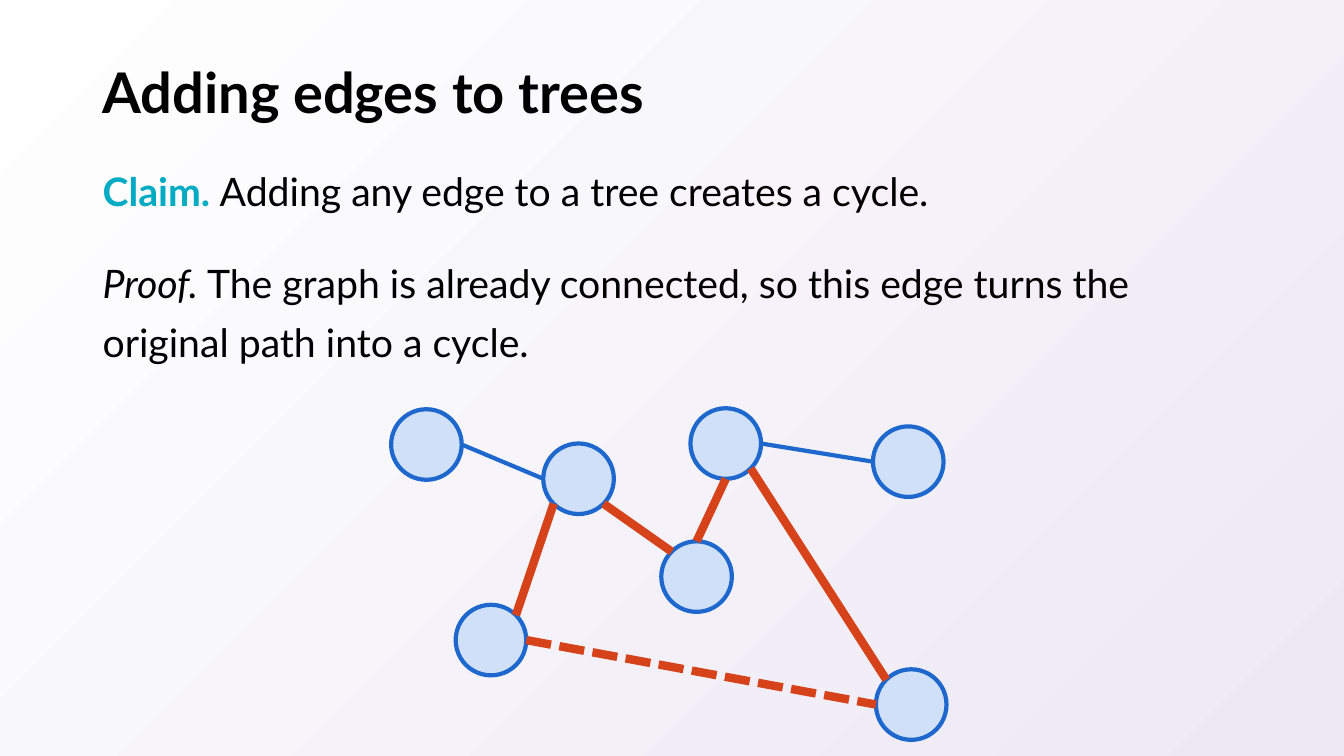
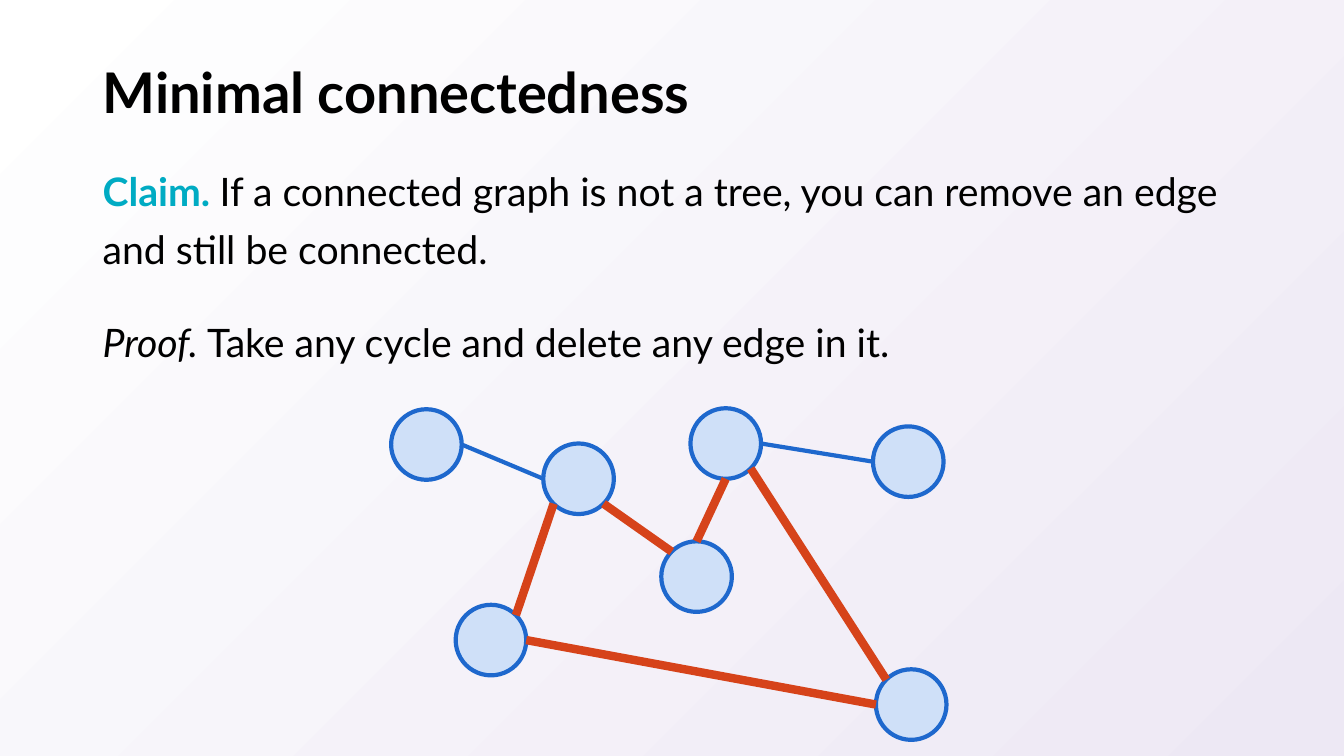
from math import cos, radians, sin

from lxml.etree import SubElement
from pptx import Presentation
from pptx.dml.color import RGBColor
from pptx.enum.dml import MSO_LINE
from pptx.enum.shapes import MSO_CONNECTOR, MSO_SHAPE
from pptx.enum.text import MSO_ANCHOR
from pptx.oxml.ns import qn
from pptx.util import Inches, Pt

BLACK = RGBColor(0x00, 0x00, 0x00)
TEAL = RGBColor(0x00, 0xAB, 0xC3)
PALE_BLUE = RGBColor(0xCF, 0xE0, 0xF8)
BLUE = RGBColor(0x1E, 0x68, 0xCD)
RED = RGBColor(0xD6, 0x43, 0x1A)
WHITE = RGBColor(0xFF, 0xFF, 0xFF)
LAVENDER = RGBColor(0xED, 0xE8, 0xF4)
FONT = "Lato"

deck = Presentation()
deck.slide_width = Inches(13.33)
deck.slide_height = Inches(7.5)
COLUMN = deck.slide_width / 100
ROW = deck.slide_height / 100
RADIUS = 5.25 * COLUMN / 2

EAST, SOUTHEAST, SOUTH, SOUTHWEST, WEST, NORTHWEST, NORTH, NORTHEAST = range(0, 360, 45)

NODES = {
    "middle": (51.83, 76.27),
    "hub": (43.05, 63.33),
    "left leaf": (31.73, 58.8),
    "low left": (36.53, 84.67),
    "low right": (67.8, 93.2),
    "peak": (54, 58.67),
    "right leaf": (67.58, 61.07),
}
TREE_EDGES = [
    ("hub", WEST, "left leaf", EAST),
    ("peak", EAST, "right leaf", WEST),
]
CLOSING_EDGE = ("low left", EAST, "low right", WEST)
CYCLE_EDGES = [
    ("middle", NORTHWEST, "hub", SOUTHEAST),
    ("hub", SOUTHWEST, "low left", NORTHEAST),
    ("middle", NORTH, "peak", SOUTH),
    ("peak", SOUTHEAST, "low right", NORTHWEST),
    CLOSING_EDGE,
]
LESSONS = [
    (
        "Adding edges to trees",
        "Adding any edge to a tree creates a cycle.",
        "The graph is already connected, so this edge turns the original path into a cycle.",
        MSO_LINE.SQUARE_DOT,
    ),
    (
        "Minimal connectedness",
        "If a connected graph is not a tree, you can remove an edge and still be connected.",
        "Take any cycle and delete any edge in it.",
        MSO_LINE.SOLID,
    ),
]


def add_text(slide, top, height, anchor, size, spacing, paragraphs):
    box = slide.shapes.add_textbox(
        int(6.9 * COLUMN), int(top * ROW), int(86.25 * COLUMN), int(height * ROW)
    )
    frame = box.text_frame
    frame.word_wrap = True
    frame.vertical_anchor = anchor
    for index, pieces in enumerate(paragraphs):
        paragraph = frame.add_paragraph() if index else frame.paragraphs[0]
        paragraph.line_spacing = spacing
        paragraph.space_after = Pt(24)
        for text, color, bold, italic in pieces:
            run = paragraph.add_run()
            run.text = text
            run.font.name = FONT
            run.font.size = Pt(size)
            run.font.color.rgb = color
            run.font.bold = bold
            run.font.italic = italic


def rim_point(node, angle):
    column, row = NODES[node]
    return (
        int(column * COLUMN + RADIUS * cos(radians(angle))),
        int(row * ROW + RADIUS * sin(radians(angle))),
    )


for title, claim, proof, closing_dash in LESSONS:
    slide = deck.slides.add_slide(deck.slide_layouts[6])
    backdrop = slide.background.fill
    backdrop.gradient()
    backdrop.gradient_angle = 315
    for stop, color in zip(backdrop.gradient_stops, (WHITE, LAVENDER)):
        stop.color.rgb = color

    add_text(slide, 5.33, 14.53, MSO_ANCHOR.MIDDLE, 40, 0.9, [[(title, BLACK, True, False)]])
    add_text(slide, 19.87, 70.13, MSO_ANCHOR.TOP, 28, 1.25, [
        [("Claim. ", TEAL, True, False), (claim, BLACK, False, False)],
        [("Proof. ", BLACK, False, True), (proof, BLACK, False, False)],
    ])

    for column, row in NODES.values():
        node = slide.shapes.add_shape(
            MSO_SHAPE.OVAL,
            int(column * COLUMN - RADIUS), int(row * ROW - RADIUS),
            int(2 * RADIUS), int(2 * RADIUS),
        )
        node.shadow.inherit = False
        node.fill.solid()
        node.fill.fore_color.rgb = PALE_BLUE
        node.line.color.rgb = BLUE
        node.line.width = Pt(3)

    for edges, color, weight in ((TREE_EDGES, BLUE, 3), (CYCLE_EDGES, RED, 6)):
        for edge in edges:
            start, start_angle, end, end_angle = edge
            link = slide.shapes.add_connector(
                MSO_CONNECTOR.STRAIGHT,
                *rim_point(start, start_angle), *rim_point(end, end_angle),
            )
            link.line.color.rgb = color
            link.line.width = Pt(weight)
            if edge == CLOSING_EDGE:
                link.line.dash_style = closing_dash
            SubElement(link._element.spPr, qn("a:effectLst"))

deck.save("out.pptx")
